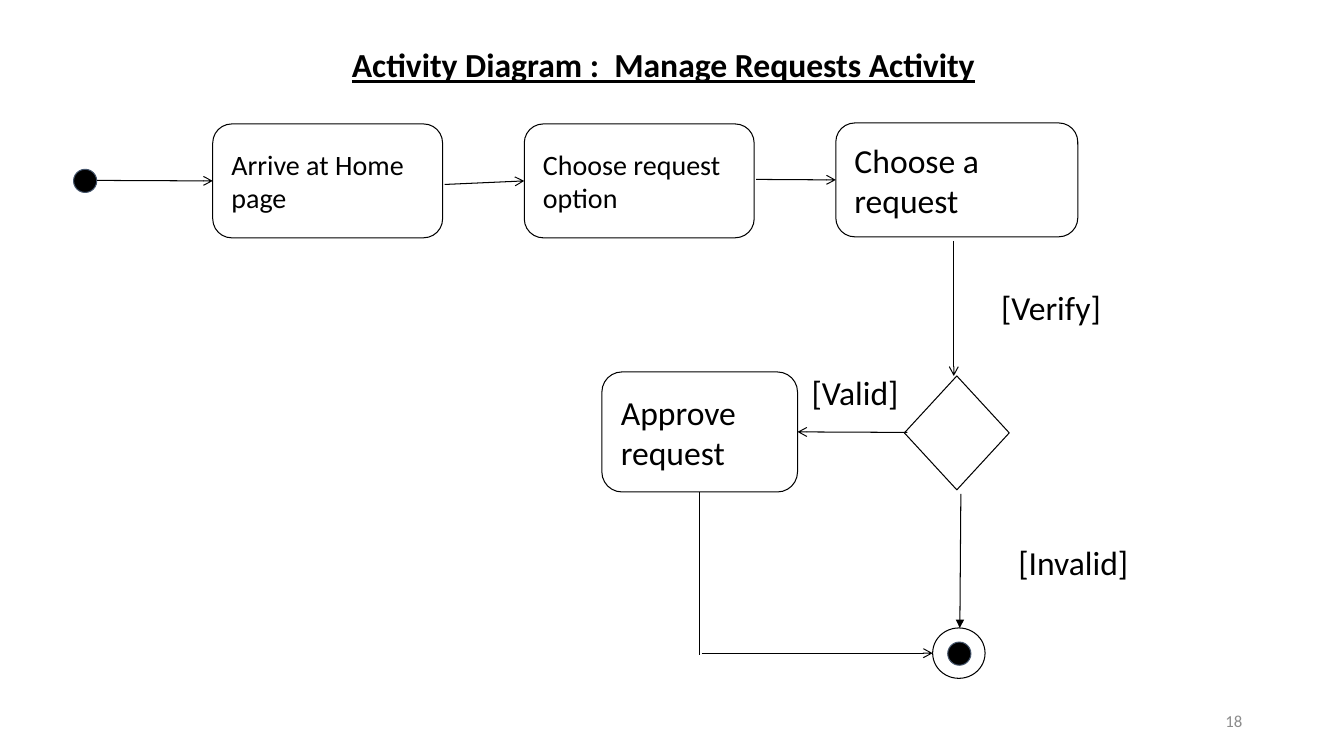
from dataclasses import dataclass
from typing import Optional

from lxml.etree import SubElement
from pptx import Presentation
from pptx.dml.color import RGBColor
from pptx.enum.shapes import MSO_CONNECTOR as Link, MSO_SHAPE as Kind
from pptx.enum.text import MSO_ANCHOR as Anchor, MSO_AUTO_SIZE as Fit, PP_ALIGN as Align
from pptx.oxml.ns import qn
from pptx.util import Emu, Pt

SCALE = 9144  # 100 px to the inch
BLACK, SLATE, GREY = "000000", "44546A", "8C8C8C"
PAD = 13
LEFT, BOTTOM, RIGHT = 1, 2, 3


@dataclass
class Node:
    name: str
    kind: Kind
    x: int
    y: int
    w: int
    h: int
    text: str = ""
    size: int = 24
    fill: Optional[str] = None
    line: str = BLACK


@dataclass
class Flow:
    x1: int
    y1: int
    x2: int
    y2: int
    head: Optional[str] = "arrow"
    start: Optional[tuple[str, int]] = None
    end: Optional[tuple[str, int]] = None


@dataclass
class Label:
    text: str
    x: int
    y: int
    w: int
    h: int


ROUND = Kind.ROUNDED_RECTANGLE
NODES = [
    Node("start", Kind.OVAL, 73, 168, 23, 23, fill=BLACK, line=SLATE),
    Node("arrive", ROUND, 211, 123, 228, 113, "Arrive at Home page", 20),
    Node("option", ROUND, 520, 123, 228, 113, "Choose request option", 20),
    Node("choose", ROUND, 829, 122, 240, 113, "Choose a request"),
    Node("check", Kind.FLOWCHART_DECISION, 897, 373, 104, 113),
    Node("approve", ROUND, 597, 369, 194, 119, "Approve request"),
    Node("ring", Kind.OVAL, 925, 623, 52, 50),
    Node("stop", Kind.OVAL, 940, 637, 23, 23, fill=BLACK, line=SLATE),
]
FLOWS = [
    Flow(695, 488, 694, 650, head=None, start=("approve", BOTTOM)),
    Flow(696, 648, 925, 648),
    Flow(96, 179, 211, 179, end=("arrive", LEFT)),
    Flow(441, 183, 520, 179, end=("option", LEFT)),
    Flow(750, 178, 829, 178, end=("choose", LEFT)),
    Flow(946, 239, 946, 373),
    Flow(953, 490, 952, 623, head="triangle"),
    Flow(900, 429, 791, 429, end=("approve", RIGHT)),
]
LABELS = [
    Label("[Verify]", 980, 272, 184, 94),
    Label("[Invalid]", 997, 525, 194, 81),
    Label("[Valid]", 792, 356, 151, 69),
]


def px(n: int) -> Emu:
    return Emu(n * SCALE)


def rgb(code: str) -> RGBColor:
    return RGBColor.from_string(code)


def write(shape, text: str, size: int, color: str = BLACK, align=Align.LEFT,
          anchor=Anchor.TOP, pad: Optional[int] = None):
    """Put one paragraph in the shape and return its font."""
    frame = shape.text_frame
    frame.word_wrap = True
    frame.vertical_anchor = anchor
    if pad is not None:
        frame.margin_left = frame.margin_right = px(pad)
        frame.margin_top = frame.margin_bottom = px(pad)
    para = frame.paragraphs[0]
    para.text, para.alignment = text, align
    font = para.font
    font.name, font.size = "Calibri", Pt(size)
    font.color.rgb = rgb(color)
    return font


def add_node(slide, node: Node):
    shape = slide.shapes.add_shape(node.kind, *map(px, (node.x, node.y, node.w, node.h)))
    shape.shadow.inherit = False
    if node.fill:
        shape.fill.solid()
        shape.fill.fore_color.rgb = rgb(node.fill)
    else:
        shape.fill.background()
    shape.line.color.rgb = rgb(node.line)
    shape.line.width = Pt(0.75)
    if node.text:
        write(shape, node.text, node.size, anchor=Anchor.MIDDLE, pad=PAD)
    return shape


def add_flow(slide, flow: Flow, shapes: dict) -> None:
    link = slide.shapes.add_connector(
        Link.STRAIGHT, *map(px, (flow.x1, flow.y1, flow.x2, flow.y2)))
    if flow.start:
        name, side = flow.start
        link.begin_connect(shapes[name], side)
    if flow.end:
        name, side = flow.end
        link.end_connect(shapes[name], side)
    link.line.color.rgb = rgb(BLACK)
    link.line.width = Pt(0.75)
    if flow.head:
        SubElement(link.line._get_or_add_ln(), qn("a:tailEnd"), type=flow.head)
    SubElement(link._element.spPr, qn("a:effectLst"))


def add_label(slide, label: Label) -> None:
    box = slide.shapes.add_textbox(*map(px, (label.x, label.y, label.w, label.h)))
    write(box, label.text, 24, pad=PAD)


def add_title(slide) -> None:
    title = slide.shapes.title
    title.left, title.top, title.width, title.height = map(px, (339, 39, 765, 50))
    font = write(title, "Activity Diagram :  Manage Requests Activity", 24)
    font.bold = font.underline = True
    title.text_frame.auto_size = Fit.SHAPE_TO_FIT_TEXT


def add_number(slide) -> None:
    box = slide.shapes.add_textbox(*map(px, (942, 695, 300, 40)))
    write(box, "18", 12, GREY, Align.RIGHT, Anchor.MIDDLE)


def main() -> None:
    prs = Presentation()
    prs.slide_width, prs.slide_height = px(1333), px(750)
    slide = prs.slides.add_slide(prs.slide_layouts.get_by_name("Title Only"))
    add_title(slide)
    shapes = {node.name: add_node(slide, node) for node in NODES}
    for flow in FLOWS:
        add_flow(slide, flow, shapes)
    for label in LABELS:
        add_label(slide, label)
    add_number(slide)
    prs.save("out.pptx")


if __name__ == "__main__":
    main()
